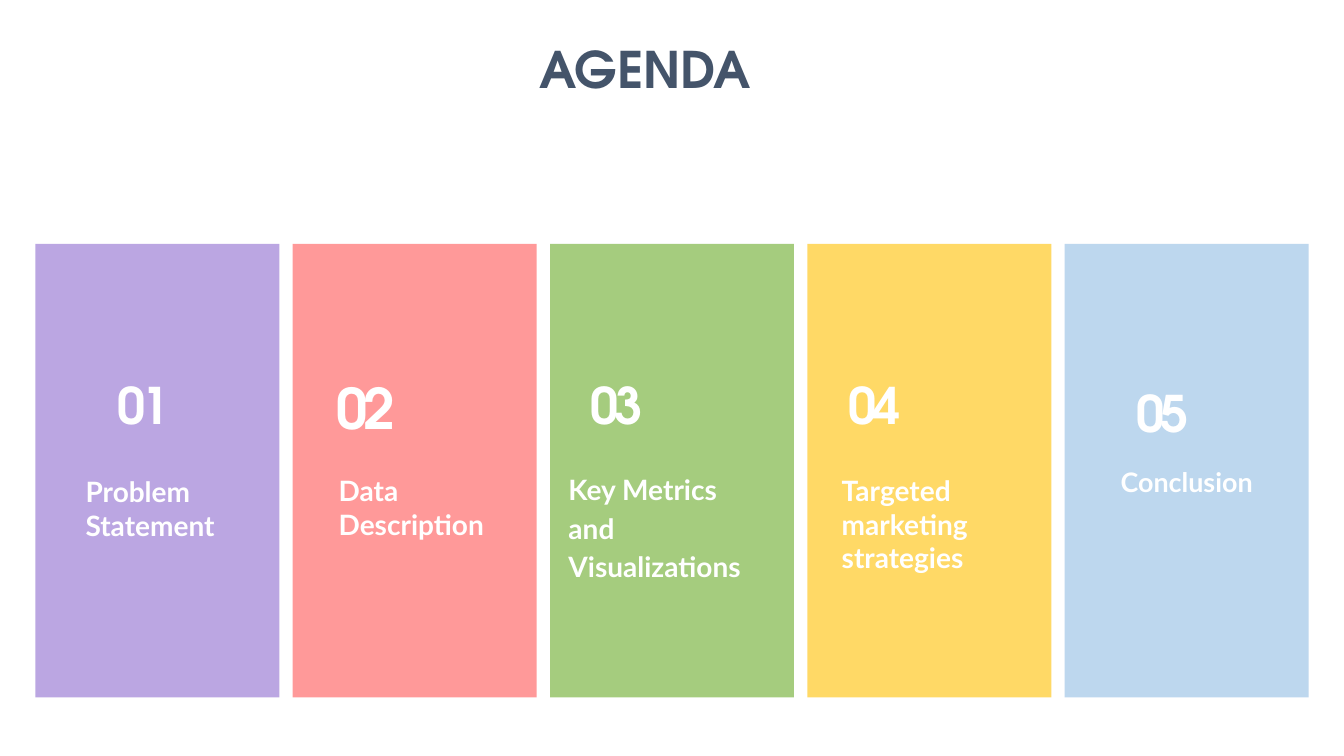
from dataclasses import dataclass

from pptx import Presentation
from pptx.dml.color import RGBColor
from pptx.enum.shapes import MSO_SHAPE as Shape
from pptx.enum.text import MSO_ANCHOR as Anchor, MSO_AUTO_SIZE as AutoSize, PP_ALIGN as Align
from pptx.util import Inches, Pt


@dataclass(frozen=True)
class Theme:
    heading_font: str = "TeX Gyre Adventor"
    body_font: str = "Lato"
    title_color: str = "44546A"
    card_text: str = "FFFFFF"
    cards: tuple = ("BBA6E2", "FF9999", "A5CC7E", "FFD966", "BDD7EE")
    heading_size: float = 36
    large_number_size: float = 40
    topic_size: float = 20
    small_topic_size: float = 19.2
    number_spacing: float = -3


THEME = Theme()

CARD_TOP, CARD_WIDTH, CARD_HEIGHT = 2.42, 2.42, 4.5
FIRST_LEFT, LAST_LEFT = 0.35, 10.56

# Per card: number box and size, then topic, its box and its formatting
AGENDA = [
    ((1.07, 3.66, 1.27, 0.7), THEME.heading_size,
     "Problem Statement", (0.75, 4.66, 1.71, 0.77), {}),
    ((3.24, 3.66, 1.27, 0.77), THEME.large_number_size,
     "Data Description", (3.26, 4.65, 1.71, 0.77), {}),
    ((5.76, 3.66, 1.27, 0.7), THEME.heading_size,
     "Key Metrics and Visualizations", (5.42, 4.59, 2.23, 1.23),
     {"line_spacing": 1.15, "indent": 0.12}),
    ((8.32, 3.66, 1.27, 0.7), THEME.heading_size,
     "Targeted marketing strategies", (8.25, 4.65, 1.95, 1.11), {}),
    ((11.17, 3.74, 1.18, 0.7), THEME.heading_size,
     "Conclusion", (10.61, 4.57, 2.32, 0.42),
     {"size": THEME.small_topic_size, "align": Align.CENTER}),
]


class AgendaSlide:
    def __init__(self, presentation, theme):
        self.theme = theme
        self.slide = presentation.slides.add_slide(presentation.slide_layouts[5])

    def set_text(self, frame, text, font, size, color, align=Align.LEFT):
        """Fill a text frame with one bold paragraph and return that paragraph."""
        frame.text = text
        frame.vertical_anchor = Anchor.TOP
        frame.auto_size = AutoSize.SHAPE_TO_FIT_TEXT
        paragraph = frame.paragraphs[0]
        paragraph.alignment = align
        style = paragraph.runs[0].font
        style.name, style.size, style.bold = font, Pt(size), True
        style.color.rgb = RGBColor.from_string(color)
        return paragraph

    def title(self, text, left, top, width, height):
        heading = self.slide.shapes.title
        heading.left, heading.top = Inches(left), Inches(top)
        heading.width, heading.height = Inches(width), Inches(height)
        self.set_text(heading.text_frame, text, self.theme.heading_font,
                      self.theme.heading_size, self.theme.title_color, Align.CENTER)
        heading.text_frame.word_wrap = False

    def card(self, left, color):
        panel = self.slide.shapes.add_shape(
            Shape.RECTANGLE, Inches(left), Inches(CARD_TOP),
            Inches(CARD_WIDTH), Inches(CARD_HEIGHT))
        panel.shadow.inherit = False
        panel.fill.solid()
        panel.fill.fore_color.rgb = RGBColor.from_string(color)
        panel.line.fill.background()

    def wrapped_frame(self, box):
        frame = self.slide.shapes.add_textbox(*map(Inches, box)).text_frame
        frame.word_wrap = True
        return frame

    def number(self, text, box, size):
        paragraph = self.set_text(self.wrapped_frame(box), text,
                                  self.theme.heading_font, size, self.theme.card_text)
        run_properties = paragraph.runs[0]._r.get_or_add_rPr()
        run_properties.set("spc", str(int(self.theme.number_spacing * 100)))

    def topic(self, text, box, size=None, align=Align.LEFT, line_spacing=None, indent=0):
        paragraph = self.set_text(self.wrapped_frame(box), text, self.theme.body_font,
                                  size or self.theme.topic_size, self.theme.card_text, align)
        if line_spacing:
            paragraph.line_spacing = line_spacing
        if indent:
            properties = paragraph._p.get_or_add_pPr()
            properties.set("marL", str(Inches(indent)))
            properties.set("indent", "0")


def main():
    presentation = Presentation()
    presentation.slide_width, presentation.slide_height = Inches(13.33), Inches(7.5)
    agenda = AgendaSlide(presentation, THEME)
    agenda.title("AGENDA", 5.22, 0.33, 2.36, 0.71)

    card_step = (LAST_LEFT - FIRST_LEFT) / (len(AGENDA) - 1)
    for index, (number_box, number_size, topic, topic_box, options) in enumerate(AGENDA):
        agenda.card(FIRST_LEFT + index * card_step, THEME.cards[index])
        agenda.number(f"{index + 1:02}", number_box, number_size)
        agenda.topic(topic, topic_box, **options)

    presentation.save("out.pptx")


if __name__ == "__main__":
    main()
